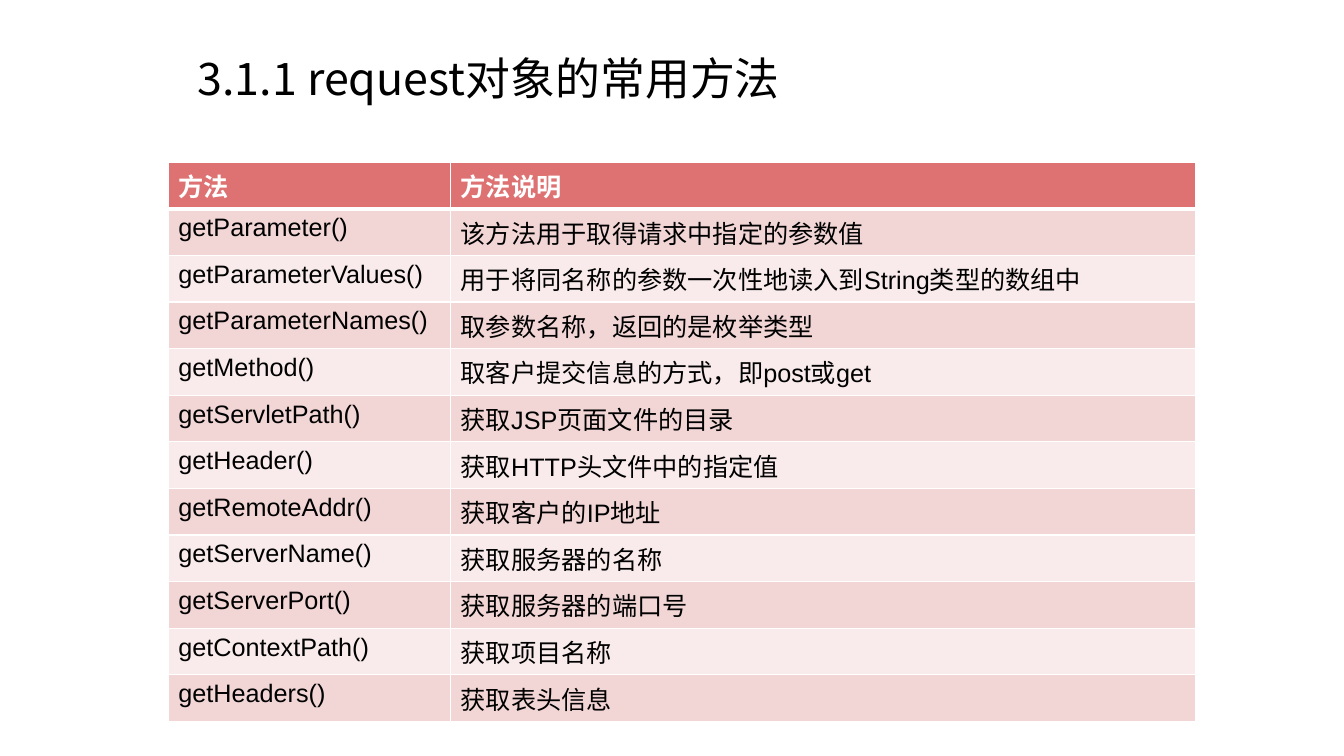
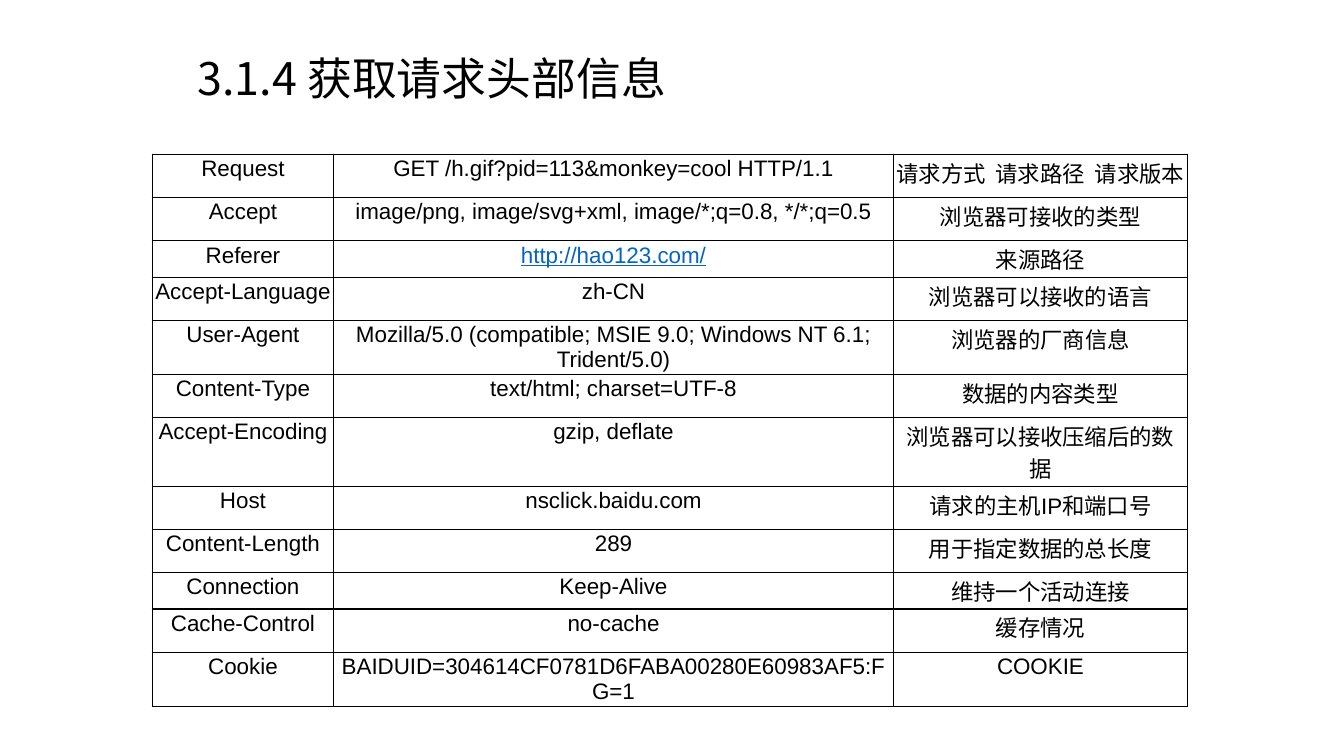
from dataclasses import dataclass

from lxml.etree import SubElement
from pptx import Presentation
from pptx.dml.color import RGBColor
from pptx.enum.text import MSO_ANCHOR, MSO_AUTO_SIZE, PP_ALIGN
from pptx.oxml.ns import qn
from pptx.util import Inches, Pt


@dataclass(frozen=True)
class Theme:
    latin_font: str = "Arial"
    chinese_font: str = "Noto Sans CJK SC"
    title_size: int = 32
    text: str = "000000"
    white: str = "FFFFFF"
    link: str = "0563C1"
    header: str = "DE7272"
    bands: tuple = ("F2D5D5", "F9EBEB")


@dataclass(frozen=True)
class TableStyle:
    size: int
    border: str
    align: PP_ALIGN
    side_margin: float
    top_margin: float
    banded: bool


THEME = Theme()
BANDED = TableStyle(18, THEME.white, PP_ALIGN.LEFT, 0.1, 0.05, True)
GRID = TableStyle(16, THEME.text, PP_ALIGN.CENTER, 0.02, 0.02, False)

REQUEST_METHODS = [
    ("方法", "方法说明"),
    ("getParameter()", "该方法用于取得请求中指定的参数值"),
    ("getParameterValues()", "用于将同名称的参数一次性地读入到String类型的数组中"),
    ("getParameterNames()", "取参数名称，返回的是枚举类型"),
    ("getMethod()", "取客户提交信息的方式，即post或get"),
    ("getServletPath()", "获取JSP页面文件的目录"),
    ("getHeader()", "获取HTTP头文件中的指定值"),
    ("getRemoteAddr()", "获取客户的IP地址"),
    ("getServerName()", "获取服务器的名称"),
    ("getServerPort()", "获取服务器的端口号"),
    ("getContextPath()", "获取项目名称"),
    ("getHeaders()", "获取表头信息"),
]

REQUEST_HEADERS = [
    ("Request", "GET /h.gif?pid=113&monkey=cool HTTP/1.1", "请求方式  请求路径  请求版本"),
    ("Accept", "image/png, image/svg+xml, image/*;q=0.8, */*;q=0.5", "浏览器可接收的类型"),
    ("Referer", "http://hao123.com/", "来源路径"),
    ("Accept-Language", "zh-CN", "浏览器可以接收的语言"),
    ("User-Agent", "Mozilla/5.0 (compatible; MSIE 9.0; Windows NT 6.1; Trident/5.0)",
     "浏览器的厂商信息"),
    ("Content-Type", "text/html; charset=UTF-8", "数据的内容类型"),
    ("Accept-Encoding", "gzip, deflate", "浏览器可以接收压缩后的数据"),
    ("Host", "nsclick.baidu.com", "请求的主机IP和端口号"),
    ("Content-Length", "289", "用于指定数据的总长度"),
    ("Connection", "Keep-Alive", "维持一个活动连接"),
    ("Cache-Control", "no-cache", "缓存情况"),
    ("Cookie", "BAIDUID=304614CF0781D6FABA00280E60983AF5:FG=1", "COOKIE"),
]


def add_run(paragraph, text, size, color, latin_font, bold=False, underline=False):
    run = paragraph.add_run()
    run.text = text
    font = run.font
    font.size = Pt(size)
    font.bold = bold
    font.underline = underline
    font.color.rgb = RGBColor.from_string(color)
    font.name = latin_font
    SubElement(font._element, qn("a:ea"), typeface=THEME.chinese_font)


def add_titled_slide(presentation, title):
    slide = presentation.slides.add_slide(presentation.slide_layouts[5])
    shape = slide.shapes.title
    shape.left, shape.top = Inches(1.86), Inches(0.51)
    shape.width, shape.height = Inches(9.92), Inches(0.64)
    frame = shape.text_frame
    frame.word_wrap = True
    frame.auto_size = MSO_AUTO_SIZE.NONE
    frame.vertical_anchor = MSO_ANCHOR.TOP
    paragraph = frame.paragraphs[0]
    paragraph.alignment = PP_ALIGN.LEFT
    paragraph.line_spacing = 0.9
    add_run(paragraph, title, THEME.title_size, THEME.text, THEME.chinese_font)
    return slide


def set_borders(cell, color, top=1, bottom=1):
    """Draw the four borders; must run before the cell is filled."""
    properties = cell._tc.get_or_add_tcPr()
    for side, width in (("L", 1), ("R", 1), ("T", top), ("B", bottom)):
        line = SubElement(properties, qn(f"a:ln{side}"), w=str(Pt(width)))
        fill = SubElement(line, qn("a:solidFill"))
        SubElement(fill, qn("a:srgbClr"), val=color)


def format_cell(cell, text, row_index, style):
    is_header = style.banded and row_index == 0
    is_link = text.startswith("http://")
    rule = 3 if style.banded else 1
    set_borders(cell, style.border,
                top=rule if row_index == 1 else 1,
                bottom=rule if row_index == 0 else 1)
    if style.banded:
        cell.fill.solid()
        band = THEME.header if is_header else THEME.bands[(row_index - 1) % 2]
        cell.fill.fore_color.rgb = RGBColor.from_string(band)
    else:
        cell.fill.background()
    cell.margin_left = cell.margin_right = Inches(style.side_margin)
    cell.margin_top = cell.margin_bottom = Inches(style.top_margin)
    paragraph = cell.text_frame.paragraphs[0]
    paragraph.alignment = style.align
    color = THEME.white if is_header else THEME.link if is_link else THEME.text
    add_run(paragraph, text, style.size, color, THEME.latin_font, is_header, is_link)


def add_text_table(slide, rows, left, top, column_widths, row_heights, style):
    table = slide.shapes.add_table(
        len(rows), len(column_widths), Inches(left), Inches(top),
        Inches(sum(column_widths)), Inches(sum(row_heights))).table
    table.first_row = table.horz_banding = style.banded
    for column, width in zip(table.columns, column_widths):
        column.width = Inches(width)
    for row_index, (row, height, texts) in enumerate(zip(table.rows, row_heights, rows)):
        row.height = Inches(height)
        for cell, text in zip(row.cells, texts):
            format_cell(cell, text, row_index, style)


def main():
    presentation = Presentation()
    presentation.slide_width, presentation.slide_height = Inches(13.33), Inches(7.5)

    slide = add_titled_slide(presentation, "3.1.1 request对象的常用方法")
    add_text_table(slide, REQUEST_METHODS, 1.67, 1.61, (2.8, 7.39),
                   [0.41] * len(REQUEST_METHODS), BANDED)

    slide = add_titled_slide(presentation, "3.1.4 获取请求头部信息")
    low_rows = ("Referer", "Connection")
    heights = [0.23 if name in low_rows else 0.43 for name, *_ in REQUEST_HEADERS]
    add_text_table(slide, REQUEST_HEADERS, 1.51, 1.53, (1.8, 5.55, 2.92), heights, GRID)

    presentation.save("out.pptx")


if __name__ == "__main__":
    main()
